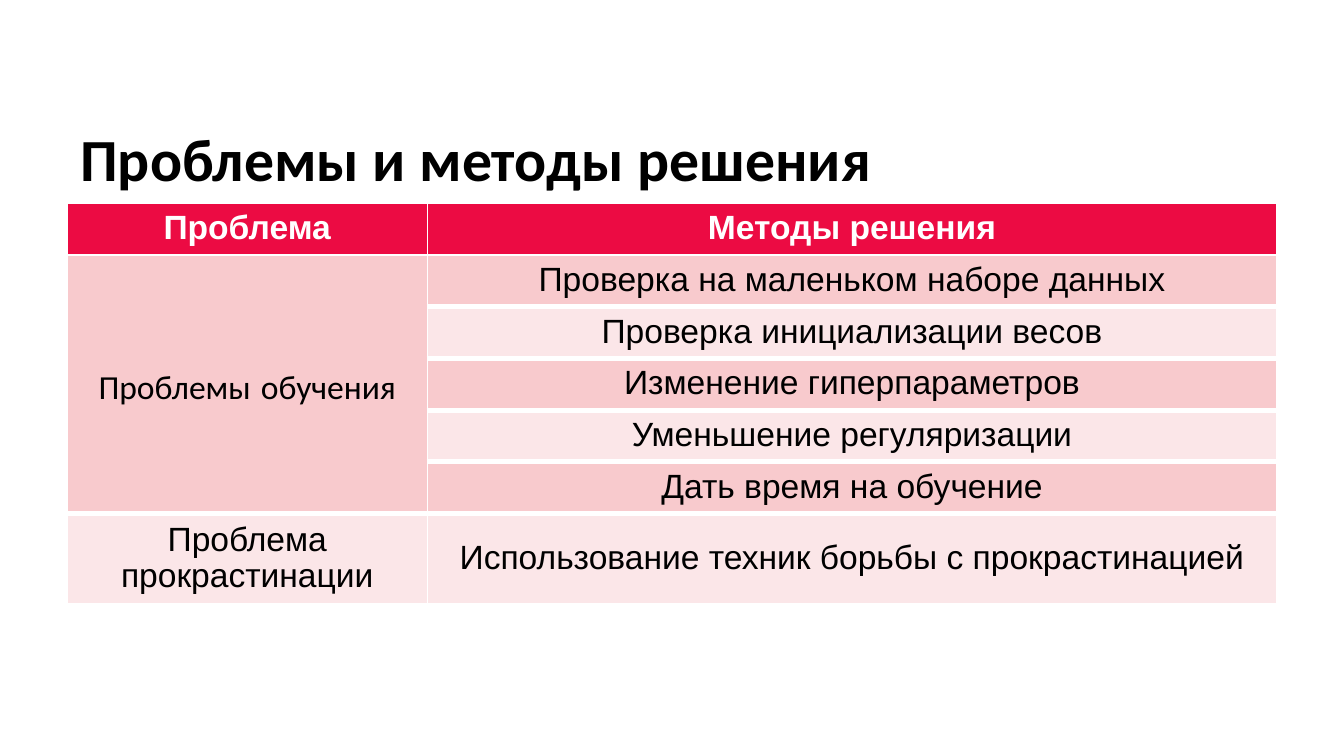
from dataclasses import dataclass

from lxml.etree import SubElement
from pptx import Presentation
from pptx.dml.color import RGBColor
from pptx.enum.text import MSO_ANCHOR, PP_ALIGN
from pptx.oxml.ns import qn
from pptx.util import Inches, Pt

HEADING = "Проблемы и методы решения"
HEADER = ("Проблема", "Методы решения")
TRAINING = ("Проблемы", " ", "обучения")
TRAINING_METHODS = (
    "Проверка на маленьком наборе данных",
    "Проверка инициализации весов",
    "Изменение гиперпараметров",
    "Уменьшение регуляризации",
    "Дать время на обучение",
)
PROCRASTINATION = (
    "Проблема прокрастинации",
    "Использование техник борьбы с прокрастинацией",
)


@dataclass(frozen=True)
class Theme:
    heading_font: str = "Calibri"
    body_font: str = "Arial"
    heading_size: int = 32
    body_size: int = 18
    gap_size: int = 24
    covered_size: int = 12
    line_spacing: float = 0.95
    ink: str = "000000"
    paper: str = "FFFFFF"
    accent: str = "EC0B43"
    bands: tuple = ("F8CACD", "FBE6E8")
    thin: int = 1
    thick: int = 3


THEME = Theme()
WIDTH = 10
HEIGHT = WIDTH * 9 / 16
MARGIN = WIDTH * 0.05
HEADING_TOP, HEADING_WIDTH, HEADING_HEIGHT = 0.83, 6.86, 0.68
TABLE_TOP = 1.51
COLUMNS = (2.68, 6.32)
ROW, LAST_ROW = 0.38, 0.65
LAST = len(TRAINING_METHODS) + 1


def add_run(paragraph, wording, font, size, color, bold=False):
    run = paragraph.add_run()
    run.text = wording
    run.font.name = font
    run.font.size = Pt(size)
    run.font.bold = bold
    run.font.color.rgb = RGBColor.from_string(color)


def set_borders(cell, top, bottom):
    properties = cell._tc.get_or_add_tcPr()
    widths = {"L": THEME.thin, "R": THEME.thin, "T": top, "B": bottom}
    for position, (side, width) in enumerate(widths.items()):
        line = properties.makeelement(qn(f"a:ln{side}"), {"w": str(Pt(width))})
        properties.insert(position, line)
        fill = SubElement(line, qn("a:solidFill"))
        SubElement(fill, qn("a:srgbClr"), val=THEME.paper)


def fill_cell(cell, row, wordings, font=THEME.body_font):
    header = row == 0
    cell.vertical_anchor = MSO_ANCHOR.MIDDLE
    cell.fill.solid()
    band = THEME.accent if header else THEME.bands[(row - 1) % 2]
    cell.fill.fore_color.rgb = RGBColor.from_string(band)
    paragraph = cell.text_frame.paragraphs[0]
    paragraph.alignment = PP_ALIGN.CENTER
    paragraph.line_spacing = THEME.line_spacing
    color = THEME.paper if header else THEME.ink
    for wording in wordings:
        size = THEME.body_size if wording.strip() else THEME.gap_size
        add_run(paragraph, wording, font, size, color, header)


def shrink_covered(cell):
    paragraph = cell.text_frame.paragraphs[0]
    SubElement(paragraph._p, qn("a:endParaRPr"), sz=str(THEME.covered_size * 100))


def add_heading(slide):
    heading = slide.shapes.add_textbox(
        Inches(MARGIN), Inches(HEADING_TOP),
        Inches(HEADING_WIDTH), Inches(HEADING_HEIGHT),
    ).text_frame
    heading.word_wrap = True
    heading.vertical_anchor = MSO_ANCHOR.MIDDLE
    add_run(heading.paragraphs[0], HEADING, THEME.heading_font,
            THEME.heading_size, THEME.ink, True)


def add_methods(slide):
    methods = slide.shapes.add_table(
        LAST + 1, len(COLUMNS), Inches(MARGIN), Inches(TABLE_TOP),
        Inches(sum(COLUMNS)), Inches(ROW * LAST + LAST_ROW),
    ).table
    for column, width in zip(methods.columns, COLUMNS):
        column.width = Inches(width)
    for row, line in enumerate(methods.rows):
        line.height = Inches(LAST_ROW if row == LAST else ROW)
        top = THEME.thin if row < 2 else THEME.thick
        bottom = THEME.thin if row in (0, LAST) else THEME.thick
        for cell in line.cells:
            set_borders(cell, top, bottom)

    methods.cell(1, 0).merge(methods.cell(LAST - 1, 0))
    fill_cell(methods.cell(1, 0), 1, TRAINING, THEME.heading_font)
    for row, method in enumerate(TRAINING_METHODS, start=1):
        fill_cell(methods.cell(row, 1), row, [method])
        if row > 1:
            shrink_covered(methods.cell(row, 0))
    for row, wordings in ((0, HEADER), (LAST, PROCRASTINATION)):
        for column, wording in enumerate(wordings):
            fill_cell(methods.cell(row, column), row, [wording])


def main():
    deck = Presentation()
    deck.slide_width, deck.slide_height = Inches(WIDTH), Inches(HEIGHT)
    slide = deck.slides.add_slide(deck.slide_layouts[6])
    add_heading(slide)
    add_methods(slide)
    deck.save("out.pptx")


if __name__ == "__main__":
    main()
